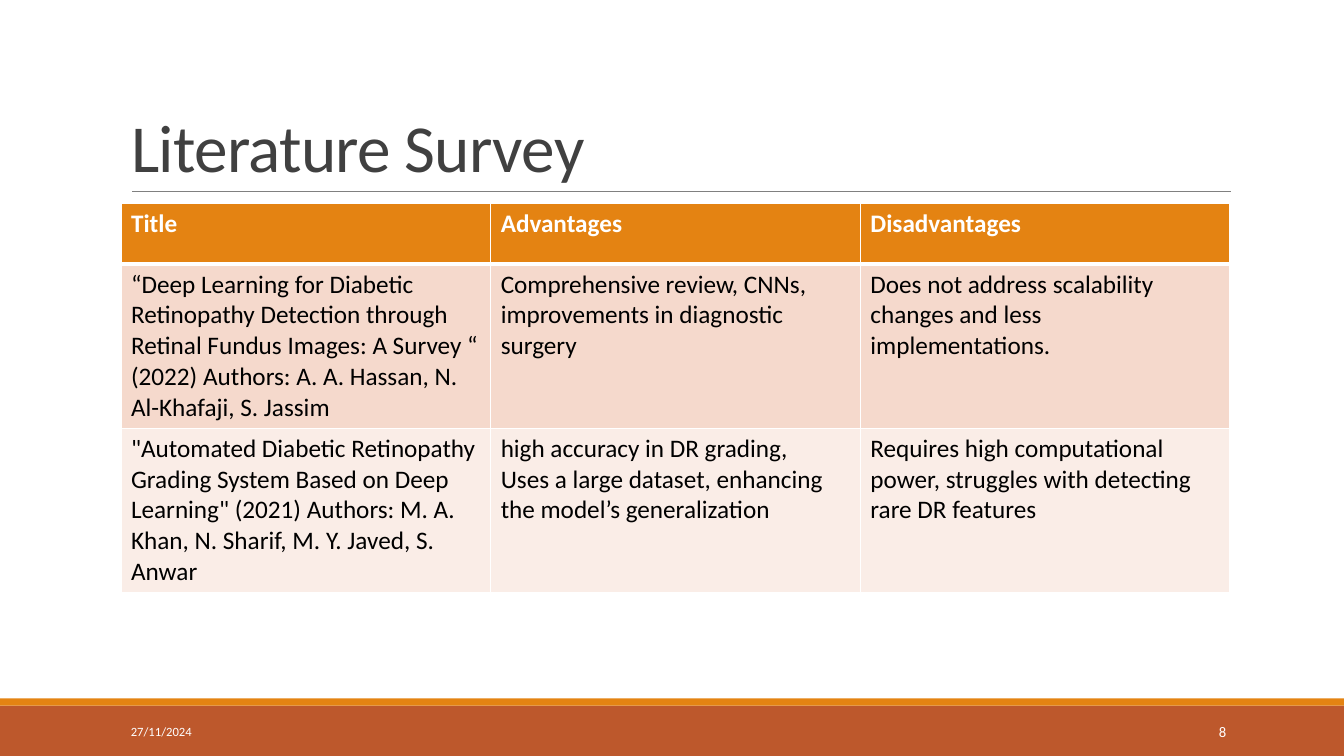
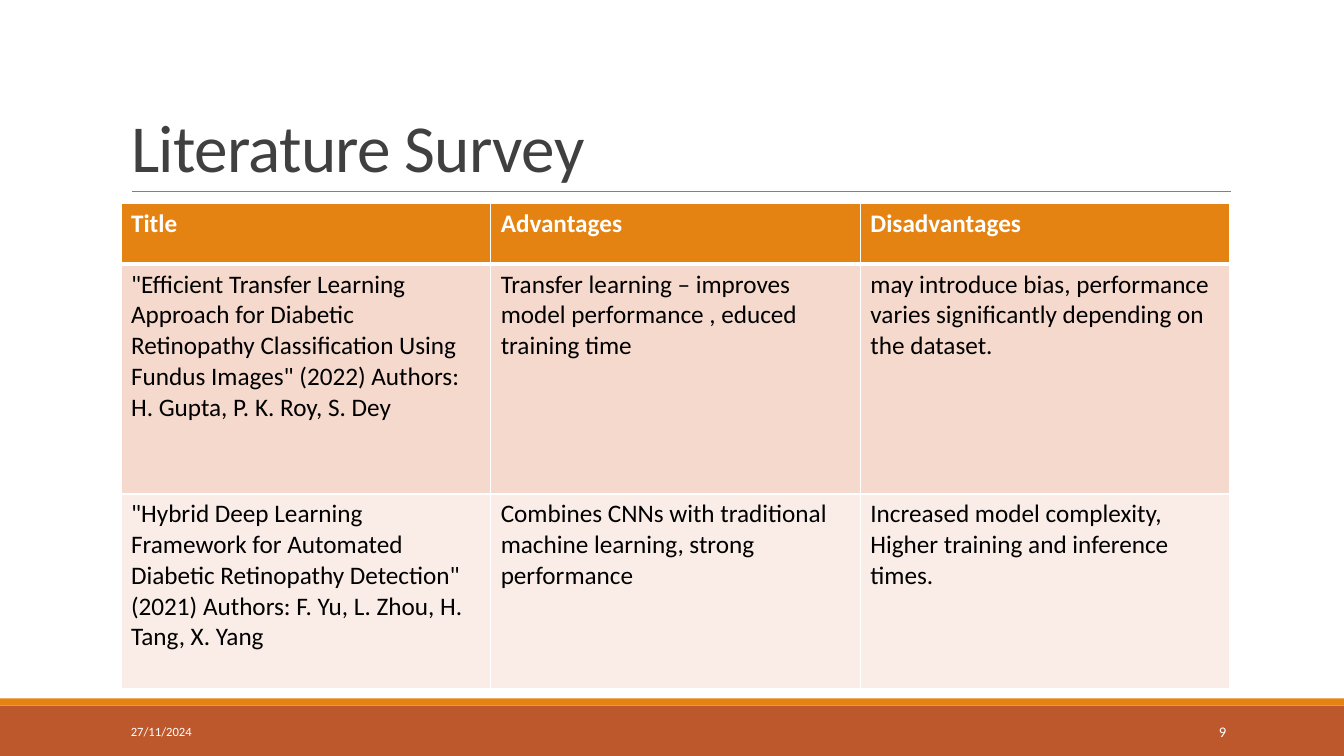
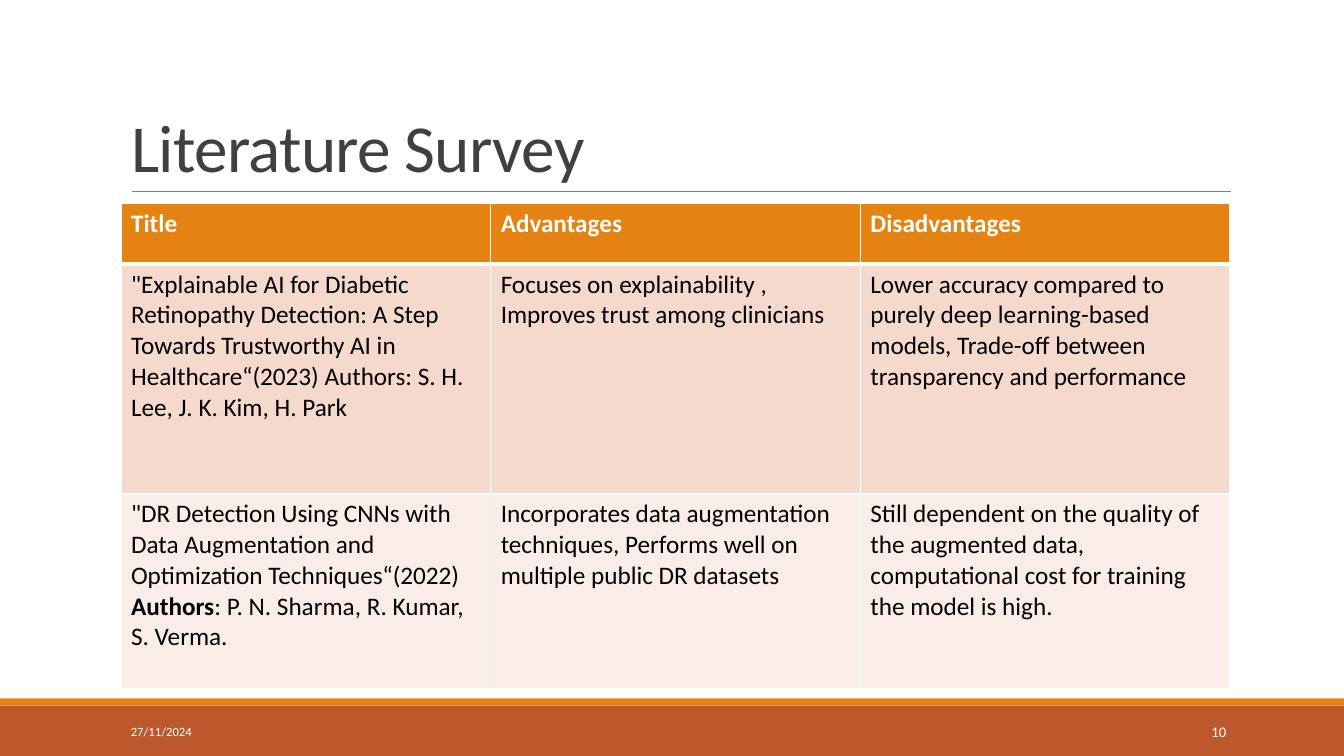
from lxml import etree
from pptx import Presentation
from pptx.dml.color import RGBColor
from pptx.enum.shapes import MSO_CONNECTOR, MSO_SHAPE
from pptx.enum.text import MSO_ANCHOR, MSO_AUTO_SIZE, PP_ALIGN
from pptx.oxml.ns import qn
from pptx.util import Inches, Pt

STRAIGHT = MSO_CONNECTOR.STRAIGHT
RECTANGLE = MSO_SHAPE.RECTANGLE
BOTTOM, MIDDLE = MSO_ANCHOR.BOTTOM, MSO_ANCHOR.MIDDLE
LEFT, RIGHT = PP_ALIGN.LEFT, PP_ALIGN.RIGHT
FIXED_SIZE = MSO_AUTO_SIZE.NONE

WHITE = RGBColor(0xFF, 0xFF, 0xFF)
BLACK = RGBColor(0x00, 0x00, 0x00)
CHARCOAL = RGBColor(0x40, 0x40, 0x40)
GREY = RGBColor(0x80, 0x80, 0x80)
ORANGE = RGBColor(0xE4, 0x83, 0x12)
RUST = RGBColor(0xBD, 0x58, 0x2C)
PEACH = RGBColor(0xF5, 0xD9, 0xCC)
PALE_PEACH = RGBColor(0xFA, 0xED, 0xE7)

FONT = "Calibri"
TITLE = "Literature Survey"
DATE = "27/11/2024"
FIRST_NUMBER = 8
HEADER = ["Title", "Advantages", "Disadvantages"]
ROW_FILLS = [ORANGE, PEACH, PALE_PEACH]
BANDS = [(7, 0.5, RUST), (6.93, 0.07, ORANGE)]

SURVEYS = [
    ([0.6, 1.63, 1.63], [
        ["“Deep Learning for Diabetic Retinopathy Detection through Retinal Fundus Images: "
         "A Survey “ (2022) Authors: A. A. Hassan, N. Al-Khafaji, S. Jassim",
         "Comprehensive review, CNNs, improvements in diagnostic surgery",
         "Does not address scalability changes and less implementations."],
        ['"Automated Diabetic Retinopathy Grading System Based on Deep Learning" (2021) '
         "Authors: M. A. Khan, N. Sharif, M. Y. Javed, S. Anwar",
         "high accuracy in DR grading,\n"
         "Uses a large dataset, enhancing the model’s generalization",
         "Requires high computational power, struggles with detecting rare DR features"],
    ]),
    ([0.6, 2.28, 1.93], [
        ['"Efficient Transfer Learning Approach for Diabetic Retinopathy Classification '
         'Using Fundus Images" (2022) Authors: H. Gupta, P. K. Roy, S. Dey',
         "Transfer learning – improves model performance , educed training time",
         "may introduce bias, performance varies significantly depending on the dataset."],
        ['"Hybrid Deep Learning Framework for Automated Diabetic Retinopathy Detection" '
         "(2021) Authors: F. Yu, L. Zhou, H. Tang, X. Yang",
         "Combines CNNs with traditional machine learning, strong performance",
         "Increased model complexity, Higher training and inference times."],
    ]),
    ([0.6, 2.28, 1.93], [
        ['"Explainable AI for Diabetic Retinopathy Detection: A Step Towards Trustworthy '
         "AI in Healthcare“(2023) Authors: S. H. Lee, J. K. Kim, H. Park",
         "Focuses on explainability , Improves trust among clinicians",
         "Lower accuracy compared to purely deep learning-based models, "
         "Trade-off between transparency and performance"],
        ['"DR Detection Using CNNs with Data Augmentation and Optimization '
         "Techniques“(2022) **Authors**: P. N. Sharma, R. Kumar, S. Verma.",
         "Incorporates data augmentation techniques, Performs well on multiple public "
         "DR datasets",
         "Still dependent on the quality of the augmented data, computational cost for "
         "training the model is high."],
    ]),
]


def write(frame, text, size, color, bold=False, align=LEFT):
    for index, line in enumerate(text.split("\n")):
        para = frame.paragraphs[0] if index == 0 else frame.add_paragraph()
        para.alignment = align
        for part, content in enumerate(line.split("**")):
            span = para.add_run()
            span.text = content
            span.font.name = FONT
            span.font.size = Pt(size)
            span.font.bold = bold or part % 2 == 1
            span.font.color.rgb = color


def add_border(cell, side, width):
    properties = cell._tc.get_or_add_tcPr()
    line = etree.SubElement(properties, qn("a:ln" + side), w=str(Pt(width)))
    fill = etree.SubElement(line, qn("a:solidFill"))
    etree.SubElement(fill, qn("a:srgbClr"), val=str(WHITE))


deck = Presentation()
deck.slide_width = Inches(13.33)
deck.slide_height = Inches(7.5)
title_only = deck.slide_layouts[5]

for number, (heights, studies) in enumerate(SURVEYS, FIRST_NUMBER):
    page = deck.slides.add_slide(title_only)

    for top, height, color in BANDS:
        band = page.shapes.add_shape(
            RECTANGLE, 0, Inches(top), deck.slide_width, Inches(height))
        band.shadow.inherit = False
        band.fill.solid()
        band.fill.fore_color.rgb = color
        band.line.fill.background()

    rule = page.shapes.add_connector(
        STRAIGHT, Inches(1.31), Inches(1.9), Inches(12.21), Inches(1.9))
    rule.line.color.rgb = GREY
    rule.line.width = Pt(0.5)
    etree.SubElement(rule._element.spPr, qn("a:effectLst"))

    title = page.shapes.title
    title.left, title.top = Inches(1.2), Inches(0.31)
    title.width, title.height = Inches(11), Inches(1.59)
    title.text_frame.auto_size = FIXED_SIZE
    title.text_frame.vertical_anchor = BOTTOM
    write(title.text_frame, TITLE, 48, CHARCOAL)
    heading = title.text_frame.paragraphs[0]
    heading.line_spacing = 0.85
    heading.runs[0].font._element.set("spc", "-50")

    table = page.shapes.add_table(
        len(heights), len(HEADER), Inches(1.2), Inches(2.02),
        Inches(11), Inches(sum(heights))).table
    table.horz_banding = False
    for row, texts in enumerate([HEADER] + studies):
        table.rows[row].height = Inches(heights[row])
        is_header = row == 0
        for column, text in enumerate(texts):
            cell = table.cell(row, column)
            add_border(cell, "L", 1)
            add_border(cell, "R", 1)
            add_border(cell, "T", 3 if row == 1 else 1)
            add_border(cell, "B", 3 if is_header else 1)
            cell.fill.solid()
            cell.fill.fore_color.rgb = ROW_FILLS[row]
            write(cell.text_frame, text, 18, WHITE if is_header else BLACK, is_header)

    for left, width, text, size, align in [
        (1.2, 2.7, DATE, 9, LEFT),
        (10.83, 1.43, str(number), 10.5, RIGHT),
    ]:
        box = page.shapes.add_textbox(Inches(left), Inches(7.06), Inches(width), Inches(0.4))
        box.text_frame.word_wrap = True
        box.text_frame.vertical_anchor = MIDDLE
        write(box.text_frame, text, size, WHITE, align=align)

deck.save("out.pptx")
